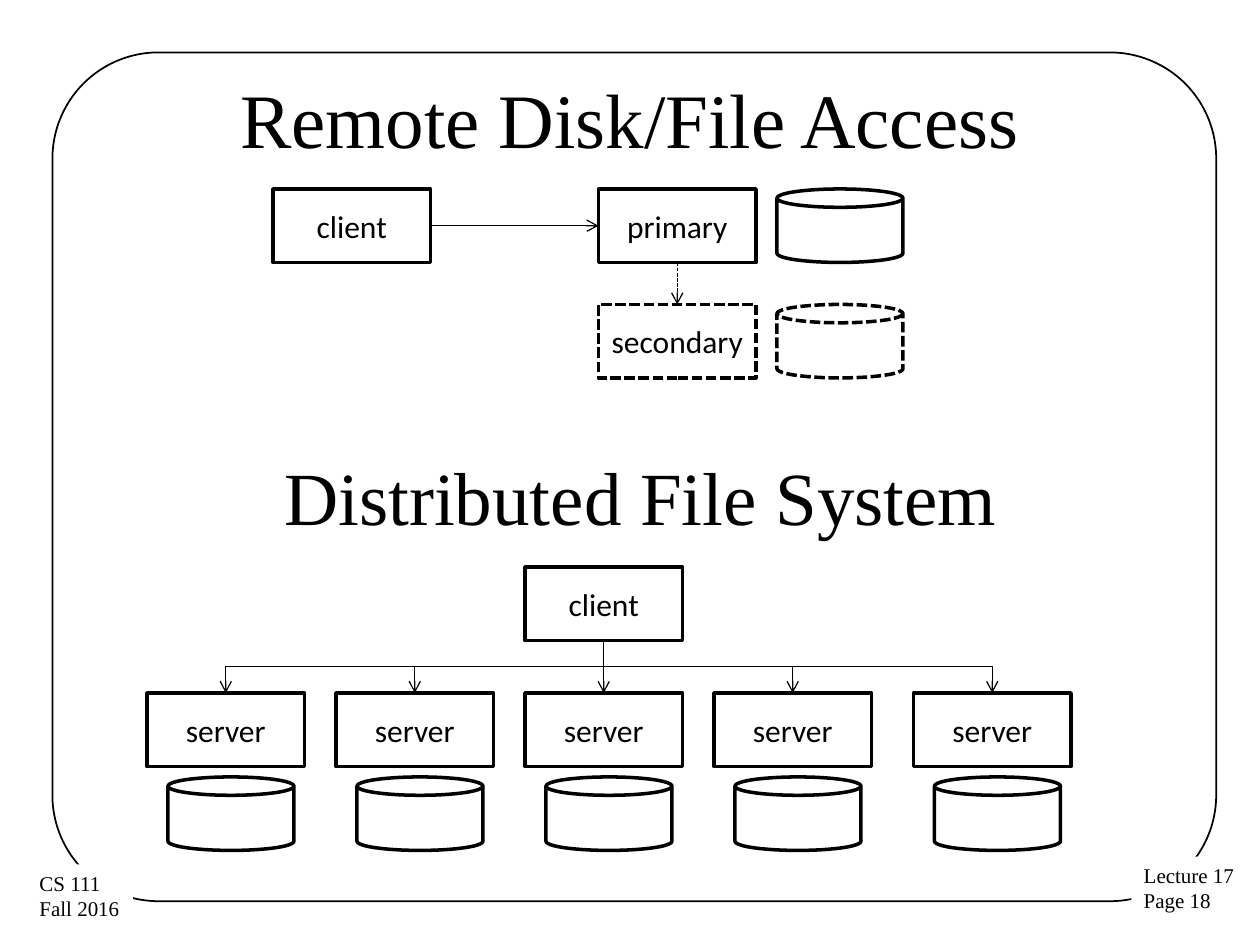
from dataclasses import dataclass
from lxml.etree import SubElement
from pptx import Presentation
from pptx.dml.color import RGBColor
from pptx.enum.dml import MSO_LINE_DASH_STYLE as Dash
from pptx.enum.shapes import MSO_CONNECTOR_TYPE as Link, MSO_SHAPE as Shape
from pptx.enum.text import MSO_ANCHOR as Anchor, PP_ALIGN as Align
from pptx.oxml.ns import qn
from pptx.util import Pt

BLACK, WHITE = "000000", "FFFFFF"
SERIF, SANS = "Times New Roman", "Calibri"
BOX_WIDTH, BOX_HEIGHT = 90, 42
DISK_WIDTH = 72


@dataclass
class Node:
    label: str
    left: float
    top: float
    disk_offset: tuple[float, float] | None = None
    dashed: bool = False


def color(value: str) -> RGBColor:
    return RGBColor.from_string(value)


def write(frame, text: str, *, size: float, font: str = SERIF, align=Align.CENTER,
          anchor=Anchor.MIDDLE, wrap: bool = True) -> None:
    frame.word_wrap = wrap
    frame.vertical_anchor = anchor
    for index, line in enumerate(text.split("\n")):
        para = frame.paragraphs[0] if index == 0 else frame.add_paragraph()
        para.alignment = align
        span = para.add_run()
        span.text = line
        span.font.size = Pt(size)
        span.font.name = font
        span.font.color.rgb = color(BLACK)


def style_line(line, width: float, dashed: bool = False) -> None:
    line.color.rgb = color(BLACK)
    line.width = Pt(width)
    if dashed:
        line.dash_style = Dash.SQUARE_DOT


def add_outline(page, kind, left: float, top: float, width: float, height: float,
                *, weight: float = 2, dashed: bool = False):
    shape = page.shapes.add_shape(kind, Pt(left), Pt(top), Pt(width), Pt(height))
    shape.shadow.inherit = False
    shape.fill.background()
    style_line(shape.line, weight, dashed)
    return shape


def add_text(page, text: str, left: float, top: float, width: float, height: float,
             *, fill: str | None = None, **style) -> None:
    box = page.shapes.add_textbox(Pt(left), Pt(top), Pt(width), Pt(height))
    if fill:
        box.fill.solid()
        box.fill.fore_color.rgb = color(fill)
    write(box.text_frame, text, **style)


def add_node(page, node: Node):
    box = add_outline(page, Shape.RECTANGLE, node.left, node.top, BOX_WIDTH, BOX_HEIGHT,
                      dashed=node.dashed)
    box.text_frame.margin_left = box.text_frame.margin_right = 0
    write(box.text_frame, node.label, size=18, font=SANS)
    if node.disk_offset:
        across, down = node.disk_offset
        add_outline(page, Shape.CAN, node.left + across, node.top + down,
                    DISK_WIDTH, BOX_HEIGHT, dashed=node.dashed)
    return box


def finish_arrow(arrow, dashed: bool = False) -> None:
    style_line(arrow.line, 0.75, dashed)
    properties = arrow._element.spPr
    SubElement(properties.find(qn("a:ln")), qn("a:tailEnd"), type="arrow")
    SubElement(properties, qn("a:effectLst"))


def join(page, start, start_site: int, end, end_site: int, dashed: bool = False) -> None:
    arrow = page.shapes.add_connector(Link.STRAIGHT, 0, 0, 0, 0)
    arrow.begin_connect(start, start_site)
    arrow.end_connect(end, end_site)
    finish_arrow(arrow, dashed)


def branch(page, parent: Node, child: Node) -> None:
    """Elbow from the parent's bottom to the child's top: a quarter-turned frame."""
    start_y = parent.top + BOX_HEIGHT
    drop, shift = child.top - start_y, child.left - parent.left
    center_x = (parent.left + child.left + BOX_WIDTH) / 2
    center_y = start_y + drop / 2
    left, right = center_x - drop / 2, center_x + drop / 2
    top, bottom = center_y - abs(shift) / 2, center_y + abs(shift) / 2
    turn = 90
    if shift > 0:
        left, right, turn = right, left, 270
    arrow = page.shapes.add_connector(Link.ELBOW, Pt(left), Pt(top), Pt(right), Pt(bottom))
    arrow._element.spPr.find(qn("a:xfrm")).set("rot", str(turn * 60000))
    finish_arrow(arrow)


def main() -> None:
    deck = Presentation()
    deck.slide_width, deck.slide_height = Pt(720), Pt(540)
    page = deck.slides.add_slide(deck.slide_layouts[5])

    # Frame and corner labels
    add_outline(page, Shape.ROUNDED_RECTANGLE, 30, 30, 665, 485,
                weight=1).adjustments[0] = 0.125
    corner = dict(fill=WHITE, size=12, align=Align.LEFT, anchor=Anchor.TOP, wrap=False)
    add_text(page, "Lecture 17\nPage 18", 646.5, 489.5, 67, 36.5, **corner)
    add_text(page, "CS 111\nFall 2016", 15.5, 494, 60.5, 36.5, **corner)

    # Headings
    title = page.shapes.title
    title.left, title.top, title.width, title.height = Pt(36), Pt(22), Pt(648), Pt(90)
    write(title.text_frame, "Remote Disk/File Access", size=44)
    add_text(page, "Distributed File System", 42, 246, 648, 74, size=42.9)

    # Remote access: client, primary and standby
    beside = (102, 0)
    client = add_node(page, Node("client", 156, 108))
    primary = add_node(page, Node("primary", 342, 108, beside))
    secondary = add_node(page, Node("secondary", 342, 174, beside, dashed=True))
    join(page, client, 3, primary, 1)
    join(page, primary, 2, secondary, 0, dashed=True)

    # Distributed system: one client, a row of servers with disks below
    hub = Node("client", 300, 324)
    hub_box = add_node(page, hub)
    for left in (84, 192, 300, 408, 522):
        server = Node("server", left, 396, (12, 48))
        server_box = add_node(page, server)
        if left == hub.left:
            join(page, hub_box, 2, server_box, 0)
        else:
            branch(page, hub, server)

    deck.save("out.pptx")


if __name__ == "__main__":
    main()
